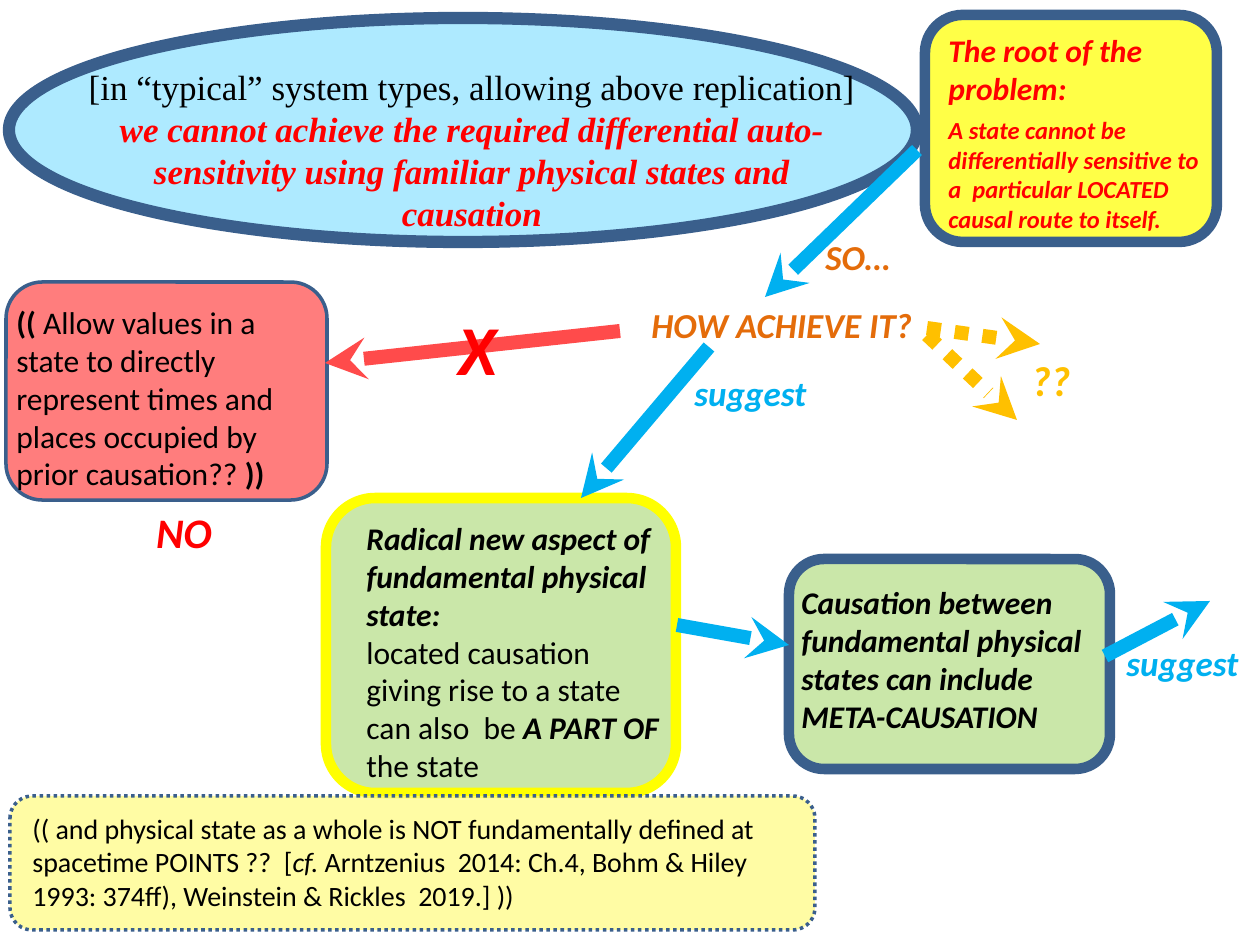
from lxml.etree import SubElement
from pptx import Presentation
from pptx.dml.color import RGBColor
from pptx.enum.dml import MSO_LINE
from pptx.enum.shapes import MSO_CONNECTOR, MSO_SHAPE
from pptx.enum.text import MSO_AUTO_SIZE, PP_ALIGN
from pptx.oxml.ns import qn
from pptx.util import Pt

PX = 914400 / 126
NAVY, BLUE, RED, CORAL = "3A5F8C", "00B0F0", "FF0000", "FF4B4B"
ORANGE, AMBER, GREEN, YELLOW, BLACK = "E46C0A", "FFC000", "B6DF89", "FFFF00", "000000"
ROUND = MSO_SHAPE.ROUNDED_RECTANGLE

# Panels: preset, (left, top, width, height), fill, line colour, line width, dotted
PANELS = [
    (ROUND, (326, 498, 350, 295), GREEN, YELLOW, 6, False),
    (MSO_SHAPE.OVAL, (9, 18, 908, 224), "8FE2FF", NAVY, 7, False),
    (ROUND, (789, 559, 321, 210), GREEN, NAVY, 6, False),
    (ROUND, (6, 282, 321, 218), CORAL, NAVY, 2, False),
    (ROUND, (10, 796, 805, 134), "FFFC81", NAVY, 2, True),
    (ROUND, (925, 15, 292, 227), YELLOW, NAVY, 6, False),
]

# Arrows: start, end, colour, dotted
ARROWS = [
    ((917, 150), (765, 297), BLUE, False),
    ((709, 347), (581, 498), BLUE, False),
    ((620, 331), (325, 363), CORAL, False),
    ((677, 625), (789, 645), BLUE, False),
    ((1105, 656), (1210, 601), BLUE, False),
    ((927, 328), (1040, 344), AMBER, True),
    ((927, 335), (1017, 420), AMBER, True),
]

# Statements: box, font, space after, paragraphs of (size, colour, centred, runs);
# each run is (text, style), where style holds b for bold and i for italic
STATEMENTS = [
    ((69, 59, 806, 183), "Times New Roman", 0, [
        (20, BLACK, True, [("[in “typical” system types, allowing above replication]", "")]),
        (20, RED, True, [("we cannot achieve the required differential auto-sensitivity "
                          "using familiar physical states and causation", "bi")]),
    ]),
    ((354, 513, 323, 280), "Calibri", 0, [
        (18, BLACK, False, [("Radical new aspect of fundamental physical state:", "bi")]),
        (18, BLACK, False, [("located causation giving rise to a state can also  be ", ""),
                            ("A PART OF", "bi"), (" the state", "")]),
    ]),
    ((4, 297, 323, 204), "Calibri", 0, [
        (18, BLACK, False, [("(( ", "b"),
                            ("Allow values in a state to directly represent times and places "
                             "occupied by prior causation?? ", ""),
                            ("))", "b")]),
    ]),
    ((789, 577, 311, 165), "Calibri", 0, [
        (18, BLACK, False, [("Causation between fundamental physical states can include "
                             "META-CAUSATION", "bi")]),
    ]),
    ((20, 805, 795, 115), "Calibri", 0, [
        (16, BLACK, False, [("(( and physical state as a whole is NOT fundamentally defined at "
                             "spacetime POINTS ??  [", ""),
                            ("cf. ", "i"),
                            ("Arntzenius  2014: Ch.4, Bohm & Hiley 1993: 374ff), "
                             "Weinstein & Rickles  2019.] ))", "")]),
    ]),
    ((936, 25, 282, 217), "Calibri", 5, [
        (18, RED, False, [("The root of the problem:", "bi")]),
        (14, RED, False, [("A state cannot be differentially sensitive to a  particular "
                           "LOCATED causal route to itself.", "bi")]),
    ]),
]

# Labels in bold italic: box, text, size, colour, centred
LABELS = [
    ((639, 297, 290, 55), "HOW ACHIEVE IT?", 20, ORANGE, False),
    ((813, 229, 107, 55), "SO…", 20, ORANGE, False),
    ((682, 365, 166, 55), "suggest", 20, BLUE, False),
    ((1114, 635, 166, 55), "suggest", 20, BLUE, False),
    ((1019, 348, 72, 63), "??", 24, AMBER, False),
    ((433, 299, 90, 97), "X", 40, RED, True),
    ((139, 500, 90, 63), "NO", 24, RED, True),
]


def px(*lengths):
    return [round(length * PX) for length in lengths]


def rgb(color):
    return RGBColor.from_string(color)


def style_line(line, color, width, dotted):
    line.color.rgb = rgb(color)
    line.width = Pt(width)
    if dotted:
        line.dash_style = MSO_LINE.ROUND_DOT  # written as sysDot


def add_panel(page, preset, place, fill, color, width, dotted):
    panel = page.shapes.add_shape(preset, *px(*place))
    panel.shadow.inherit = False
    panel.fill.solid()
    panel.fill.fore_color.rgb = rgb(fill)
    tint = panel.fill._xPr.find(qn("a:solidFill"))[0]
    SubElement(tint, qn("a:alpha"), val="72000")
    style_line(panel.line, color, width, dotted)


def add_arrow(page, start, end, color, dotted):
    arrow = page.shapes.add_connector(MSO_CONNECTOR.STRAIGHT, *px(*start, *end))
    style_line(arrow.line, color, 8, dotted)
    SubElement(arrow.line._get_or_add_ln(), qn("a:tailEnd"), type="stealth")
    SubElement(arrow._element.spPr, qn("a:effectLst"))


def add_text(page, place, font, space_after, paragraphs):
    frame = page.shapes.add_textbox(*px(*place)).text_frame
    frame.word_wrap = True
    frame.auto_size = MSO_AUTO_SIZE.SHAPE_TO_FIT_TEXT
    for index, (size, color, centred, runs) in enumerate(paragraphs):
        para = frame.add_paragraph() if index else frame.paragraphs[0]
        para.alignment = PP_ALIGN.CENTER if centred else PP_ALIGN.LEFT
        para.space_after = Pt(space_after)
        for text, style in runs:
            span = para.add_run()
            span.text = text
            span.font.name = font
            span.font.size = Pt(size)
            span.font.color.rgb = rgb(color)
            span.font.bold = "b" in style
            span.font.italic = "i" in style


def main():
    deck = Presentation()
    deck.slide_width, deck.slide_height = px(1260, 945)
    page = deck.slides.add_slide(deck.slide_layouts[6])
    for panel in PANELS:
        add_panel(page, *panel)
    for arrow in ARROWS:
        add_arrow(page, *arrow)
    for statement in STATEMENTS:
        add_text(page, *statement)
    for place, text, size, color, centred in LABELS:
        add_text(page, place, "Calibri", 0, [(size, color, centred, [(text, "bi")])])
    deck.save("out.pptx")


if __name__ == "__main__":
    main()
